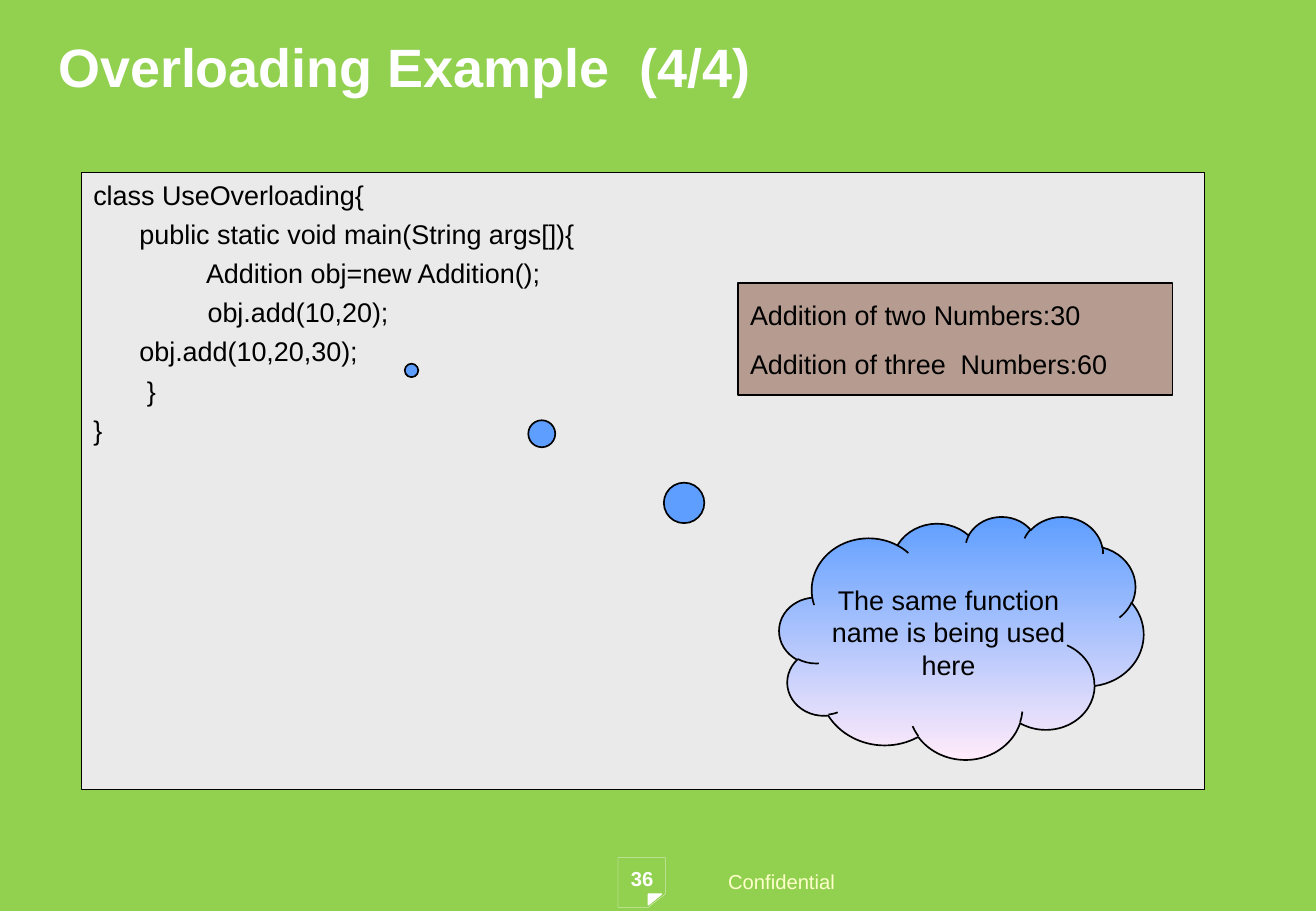
from lxml import etree
from pptx import Presentation
from pptx.dml.color import RGBColor
from pptx.enum.shapes import MSO_SHAPE as Preset
from pptx.enum.text import MSO_ANCHOR as Anchor, PP_ALIGN as Align
from pptx.oxml import parse_xml
from pptx.oxml.ns import nsdecls, qn
from pptx.util import Inches, Pt

COLORS = {
    "background": "92D050", "white": "FFFFFF", "cream": "FFFFCC",
    "black": "000000", "code": "EAEAEA", "output": "B69C90",
    "cloud_top": "5E9EFF", "cloud_bottom": "FFEBFA",
}
CODE = [
    "class UseOverloading{",
    "   \tpublic static void main(String args[]){",
    "     \t\t Addition obj=new Addition();",
    "     \t\t obj.add(10,20);",
    "      \tobj.add(10,20,30);",
    "  \t }",
    "}",
]
OUTPUT = ["Addition of two Numbers:30", "Addition of three  Numbers:60"]


def rgb(name):
    """Return the named colour."""
    return RGBColor.from_string(COLORS[name])


def add_tabs(paragraph, count=8):
    """Set a left tab stop at every inch."""
    tabs = etree.SubElement(paragraph._p.get_or_add_pPr(), qn("a:tabLst"))
    for inch in range(count):
        etree.SubElement(tabs, qn("a:tab"), pos=str(Inches(inch)), algn="l")


def add_text_shadow(run):
    """Give the letters of a run a small dark shadow."""
    effects = parse_xml(
        f'<a:effectLst {nsdecls("a")}><a:outerShdw dist="17961" dir="2700000">'
        '<a:srgbClr val="000000"/></a:outerShdw></a:effectLst>')
    run.font.fill._xPr.find(qn("a:solidFill")).addnext(effects)


def write(shape, lines, size=16, color="black", bold=False, align=Align.LEFT,
          anchor=Anchor.TOP, gap=0, hanging=0, tabs=False, shadow=False,
          wrap=True, side=0.1):
    """Fill a shape with formatted paragraphs."""
    frame = shape.text_frame
    frame.word_wrap = wrap
    frame.vertical_anchor = anchor
    frame.margin_left = frame.margin_right = Inches(side)
    frame.margin_top = frame.margin_bottom = Inches(0.05)
    for index, line in enumerate(lines):
        paragraph = frame.add_paragraph() if index else frame.paragraphs[0]
        paragraph.alignment = align
        paragraph.space_before = Pt(gap if index else 0)
        if hanging:
            properties = paragraph._p.get_or_add_pPr()
            properties.set("marL", str(Inches(hanging)))
            properties.set("indent", str(-Inches(hanging)))
        if tabs:
            add_tabs(paragraph)
        run = paragraph.add_run()
        run.text = line
        run.font.name = "Arial"
        run.font.size = Pt(size)
        run.font.bold = bold
        run.font.color.rgb = rgb(color)
        if shadow:
            add_text_shadow(run)


def add_text(slide, box, text, **style):
    """Place a text box with one formatted paragraph."""
    label = slide.shapes.add_textbox(*map(Inches, box))
    write(label, [text], **style)


def add_panel(slide, preset, box, fill=None, width=1):
    """Place a preset shape with a black outline."""
    panel = slide.shapes.add_shape(preset, *map(Inches, box))
    panel.shadow.inherit = False
    panel.line.color.rgb = rgb("black")
    panel.line.width = Pt(width)
    if fill:
        panel.fill.solid()
        panel.fill.fore_color.rgb = rgb(fill)
    return panel


def add_outline(slide, points, width, fill=None):
    """Draw a closed white outline through points given in inches."""
    start, *rest = [(Inches(x), Inches(y)) for x, y in points]
    builder = slide.shapes.build_freeform(*start)
    builder.add_line_segments(rest, close=True)
    outline = builder.convert_to_shape()
    outline.shadow.inherit = False
    outline.line.color.rgb = rgb("white")
    outline.line.width = Pt(width)
    if fill:
        outline.fill.solid()
        outline.fill.fore_color.rgb = rgb(fill)
    else:
        outline.fill.background()


def add_footer(slide, box):
    """Draw the folded page mark, its number and the footer word."""
    left, top, width, height = box
    right, bottom = left + width, top + height
    fold_x, fold_y = left + 0.25, top + 0.3
    add_outline(slide, [(right, fold_y), (right, top), (left, top),
                        (left, bottom), (fold_x, bottom)], 0.11)
    add_outline(slide, [(fold_x, fold_y + 0.09), (fold_x, fold_y),
                        (fold_x + 0.11, fold_y)], 0.75, fill="white")
    add_text(slide, (left + 0.81, top + 0.05, 1.46, 0.3), "Confidential",
             size=12, color="cream", hanging=0.19, shadow=True, wrap=False)
    add_text(slide, (left - 0.26, top + 0.02, 0.92, 0.42), "36", size=12,
             color="white", bold=True, align=Align.CENTER, shadow=True)


def add_code(slide, box):
    """Place the code listing with its program output and cloud remark."""
    left, top, _, _ = box
    listing = add_panel(slide, Preset.RECTANGLE, box, "code", 0.75)
    write(listing, CODE, gap=4, hanging=0.38, tabs=True)
    output = add_panel(slide, Preset.RECTANGLE,
                       (left + 5.41, top + 0.91, 3.58, 0.92), "output")
    write(output, OUTPUT, gap=10, anchor=Anchor.MIDDLE)
    add_cloud(slide, (left + 5.75, top + 2.83, 3, 2))


def add_cloud(slide, box):
    """Place the shaded cloud callout that points at the calls."""
    cloud = add_panel(slide, Preset.CLOUD_CALLOUT, box)
    cloud.adjustments[0] = -1.51
    cloud.adjustments[1] = -1.1
    cloud.fill.gradient()
    cloud.fill.gradient_angle = 270
    for stop, position, name in zip(cloud.fill.gradient_stops, (0, 1),
                                    ("cloud_top", "cloud_bottom")):
        stop.position = position
        stop.color.rgb = rgb(name)
    write(cloud, ["The same function name is being used here"],
          align=Align.CENTER, anchor=Anchor.MIDDLE, side=0)


def main():
    """Build the slide and save it."""
    deck = Presentation()
    deck.slide_width, deck.slide_height = Inches(10.84), Inches(7.5)
    slide = deck.slides.add_slide(deck.slide_layouts[6])
    slide.background.fill.solid()
    slide.background.fill.fore_color.rgb = rgb("background")
    add_footer(slide, (5.09, 7.06, 0.39, 0.41))
    add_text(slide, (0.38, 0.26, 10.16, 0.56), "Overloading Example  (4/4)",
             size=32, color="white", bold=True, anchor=Anchor.MIDDLE)
    add_code(slide, (0.67, 1.42, 9.25, 5.08))
    deck.save("out.pptx")


if __name__ == "__main__":
    main()
